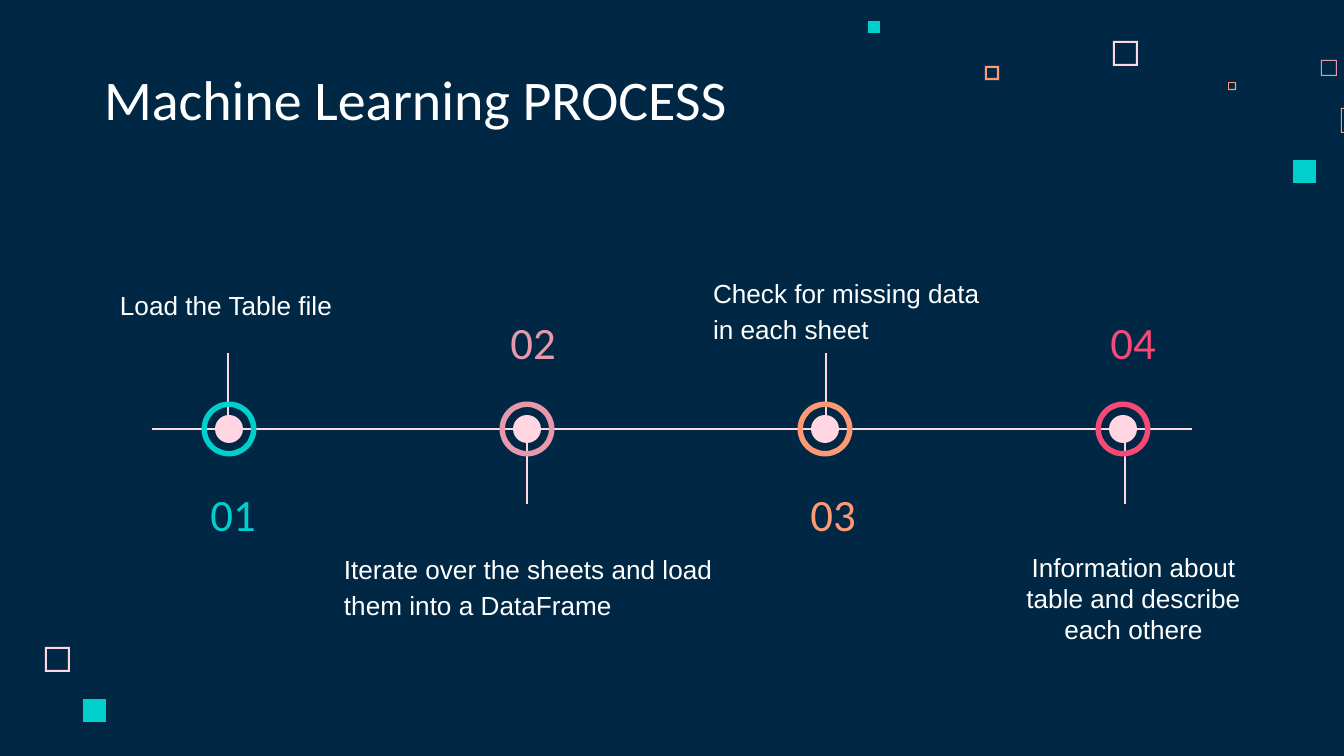
"""Build the machine learning process timeline slide."""

from dataclasses import dataclass

from lxml.etree import SubElement
from pptx import Presentation
from pptx.dml.color import RGBColor
from pptx.enum.shapes import MSO_CONNECTOR, MSO_SHAPE as SHAPE
from pptx.enum.text import MSO_ANCHOR as ANCHOR, MSO_AUTO_SIZE, PP_ALIGN as ALIGN
from pptx.oxml.ns import qn
from pptx.util import Pt

SCALE = 914400 / 134.4
AXIS_Y = 429


@dataclass(frozen=True)
class Theme:
    navy: str = "002845"
    white: str = "FFFFFF"
    blush: str = "FFD6E1"
    teal: str = "00CFCC"
    rose: str = "E898AC"
    orange: str = "FF9973"
    red: str = "F64975"
    heading_font: str = "Calibri"
    body_font: str = "Arial"
    title_size: int = 30
    number_size: int = 24
    caption_size: int = 14
    line_width: float = 1.5


THEME = Theme()


@dataclass(frozen=True)
class Square:
    left: int
    top: int
    side: int
    color: str
    border: int = 0


@dataclass(frozen=True)
class Step:
    number: str
    color: str
    caption: str
    bounds: tuple[int, int, int, int]
    above: bool
    centered: bool = False


SQUARES = (
    Square(1113, 41, 25, THEME.blush, 2),
    Square(1321, 60, 16, THEME.rose, 1),
    Square(1228, 82, 8, THEME.orange, 1),
    Square(1341, 108, 25, THEME.orange, 1),
    Square(1293, 160, 23, THEME.teal),
    Square(985, 66, 14, THEME.orange, 2),
    Square(868, 21, 12, THEME.teal),
    Square(45, 647, 25, THEME.blush, 2),
    Square(83, 699, 23, THEME.teal),
)

STEPS = (
    Step("01", THEME.teal, "Load the Table file", (91, 239, 327, 95), True),
    Step("02", THEME.rose, "Iterate over the sheets and load them into a DataFrame",
         (315, 536, 454, 95), False),
    Step("03", THEME.orange, "Check for missing data in each sheet",
         (684, 263, 310, 95), True),
    Step("04", THEME.red, "Information about table and describe each othere",
         (995, 538, 277, 95), False, True),
)


def px(length: float) -> int:
    """Turn pixels into EMU."""
    return round(length * SCALE)


def paint(shape, color: str) -> None:
    """Give a shape a flat fill with no line or shadow."""
    shape.fill.solid()
    shape.fill.fore_color.rgb = RGBColor.from_string(color)
    shape.line.fill.background()
    shape.shadow.inherit = False


def write(box, text: str, *, size: int, font: str, color: str = THEME.white,
          anchor=ANCHOR.TOP, align=ALIGN.LEFT, spacing: float = 1.0,
          after: int = 0, indent: int = 0) -> None:
    """Put one formatted paragraph into a box."""
    frame = box.text_frame
    frame.word_wrap = True
    frame.auto_size = MSO_AUTO_SIZE.NONE
    frame.vertical_anchor = anchor
    frame.margin_left = frame.margin_right = px(13)
    frame.margin_top = frame.margin_bottom = px(13)
    para = frame.paragraphs[0]
    para.alignment = align
    para.line_spacing = spacing
    para.space_before, para.space_after = Pt(0), Pt(after)
    properties = para._p.get_or_add_pPr()
    properties.set("marL", str(px(indent)))
    properties.set("indent", "0")
    span = para.add_run()
    span.text = text
    span.font.size = Pt(size)
    span.font.name = font
    span.font.color.rgb = RGBColor.from_string(color)


def add_text(page, bounds: tuple[int, int, int, int], text: str, **style) -> None:
    """Add a text box with formatted text."""
    write(page.shapes.add_textbox(*map(px, bounds)), text, **style)


def add_line(page, *ends: int) -> None:
    """Add a straight line between two points."""
    line = page.shapes.add_connector(MSO_CONNECTOR.STRAIGHT, *map(px, ends))
    line.line.color.rgb = RGBColor.from_string(THEME.blush)
    line.line.width = Pt(THEME.line_width)
    SubElement(line._element.spPr, qn("a:effectLst"))


def add_square(page, square: Square) -> None:
    """Draw a solid square, or a hollow one when it has a border."""
    left, top = square.left, square.top
    right, bottom = left + square.side, top + square.side
    builder = page.shapes.build_freeform(left, top, scale=SCALE)
    builder.add_line_segments([(left, bottom), (right, bottom), (right, top)])
    if square.border:
        left, top = left + square.border, top + square.border
        right, bottom = right - square.border, bottom - square.border
        builder.move_to(right, top)
        builder.add_line_segments([(right, bottom), (left, bottom), (left, top)])
    paint(builder.convert_to_shape(), square.color)


def add_marker(page, center: int, color: str) -> None:
    """Draw a grouped dot and ring on the axis."""
    group = page.shapes.add_group_shape()
    for kind, side, fill in ((SHAPE.OVAL, 28, THEME.blush), (SHAPE.DONUT, 55, color)):
        shape = group.shapes.add_shape(
            kind, px(center - side / 2), px(AXIS_Y - side / 2), px(side), px(side))
        paint(shape, fill)
        if kind == SHAPE.DONUT:
            shape.adjustments[0] = 0.1


def add_labels(page, index: int, step: Step) -> None:
    """Add the number and caption of a step."""
    if step.centered:
        layout = {"align": ALIGN.CENTER, "after": 16}
    else:
        layout = {"spacing": 1.15, "indent": 16}
    add_text(page, step.bounds, step.caption, size=THEME.caption_size,
             font=THEME.body_font,
             anchor=ANCHOR.BOTTOM if step.above else ANCHOR.TOP, **layout)
    add_text(page, (133 + 300 * index, 482 if step.above else 310, 190, 63),
             f" {step.number}", size=THEME.number_size, font=THEME.heading_font,
             color=step.color, anchor=ANCHOR.MIDDLE, align=ALIGN.CENTER)


def main() -> None:
    """Build and save the deck."""
    deck = Presentation()
    deck.slide_width, deck.slide_height = px(1344), px(756)
    page = deck.slides.add_slide(deck.slide_layouts[5])
    page.background.fill.solid()
    page.background.fill.fore_color.rgb = RGBColor.from_string(THEME.navy)

    title = page.shapes.title
    title.left, title.top, title.width, title.height = map(px, (91, 60, 695, 85))
    write(title, "Machine Learning PROCESS", size=THEME.title_size,
          font=THEME.heading_font, anchor=ANCHOR.BOTTOM)

    for square in SQUARES:
        add_square(page, square)
    for index, step in enumerate(STEPS):
        stem = 228 + 299 * index
        top, bottom = (353, 421) if step.above else (438, 504)
        add_line(page, stem, top, stem, bottom)
    add_line(page, 152, AXIS_Y, 1192, AXIS_Y)
    for index, step in enumerate(STEPS):
        add_marker(page, 229 + 298 * index, step.color)
        add_labels(page, index, step)
    deck.save("out.pptx")


if __name__ == "__main__":
    main()
